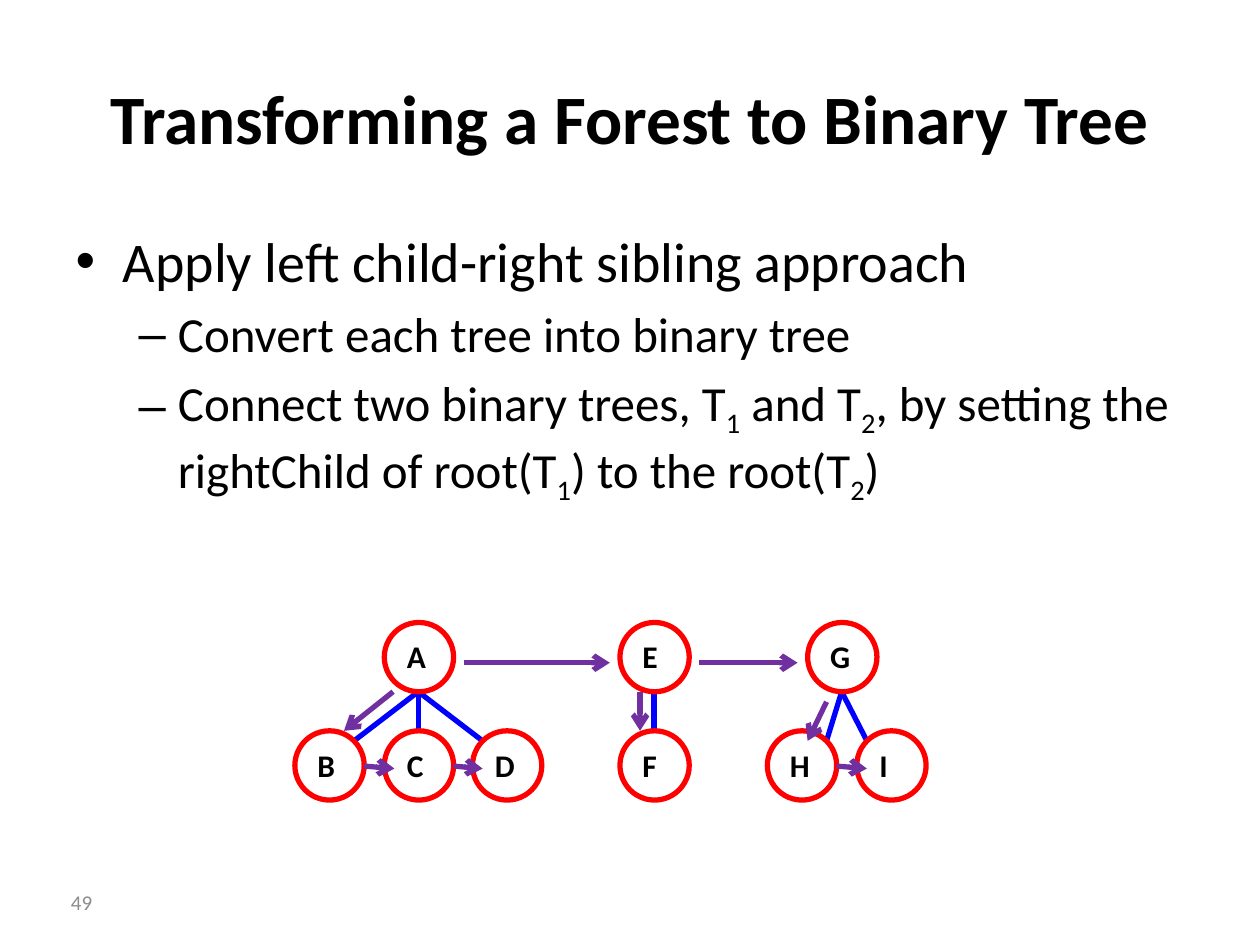
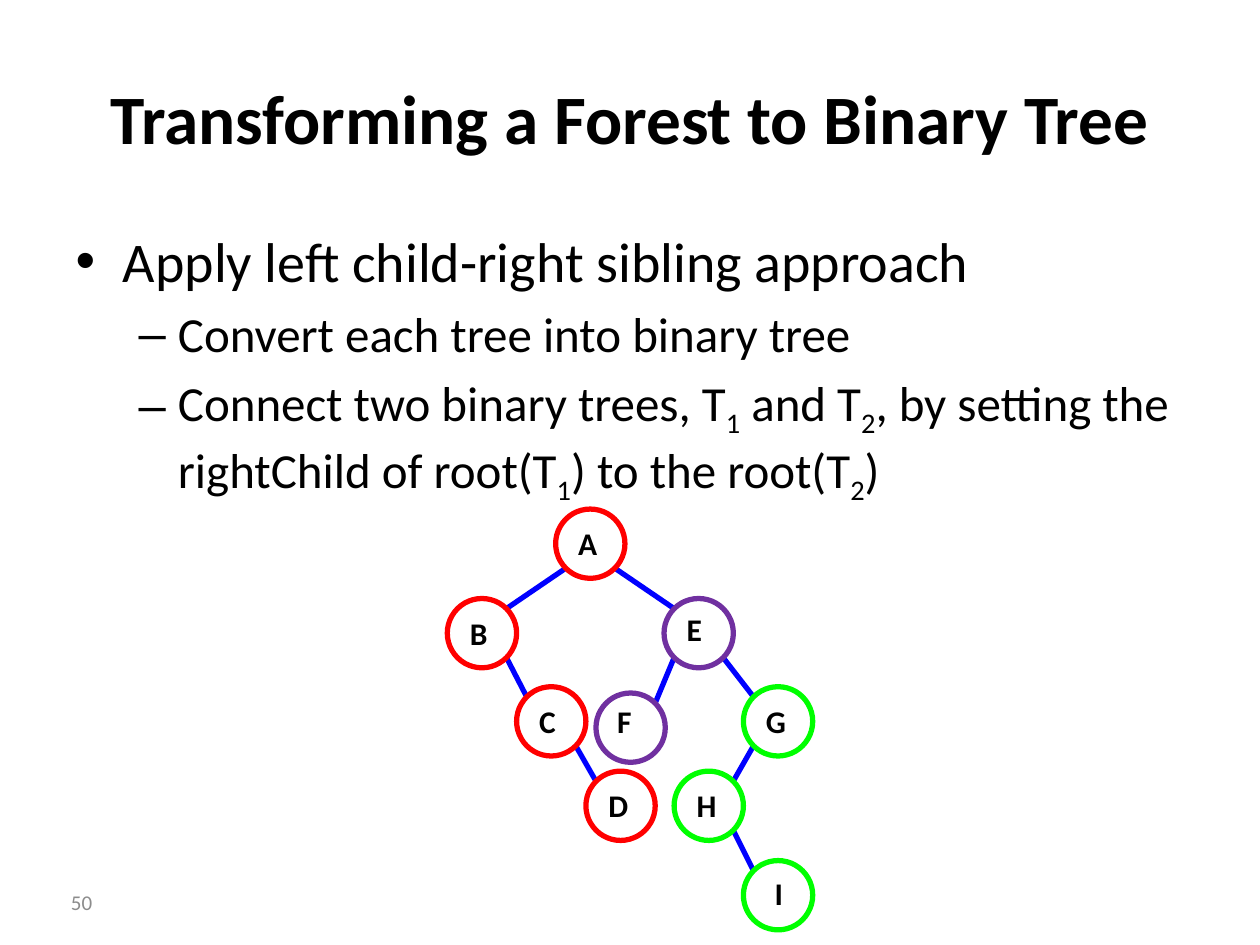
import dataclasses

import lxml.etree
import pptx
import pptx.dml.color
import pptx.enum.shapes
import pptx.enum.text
import pptx.oxml.ns
import pptx.util

EMU_PER_PX = 9144
ALIGN = pptx.enum.text.PP_ALIGN
ANCHOR = pptx.enum.text.MSO_ANCHOR


@dataclasses.dataclass(frozen=True)
class Theme:
    font: str = "Calibri"
    ink: str = "000000"
    muted: str = "8C8C8C"
    red: str = "FF0000"
    purple: str = "7030A0"
    green: str = "00FF00"
    blue: str = "0000FF"
    title_size: float = 39.6
    body_sizes: tuple = (32, 28)
    label_size: int = 18
    number_size: int = 12
    line_width: int = 3
    node_size: int = 55


THEME = Theme()
TITLE = "Transforming a Forest to Binary Tree"
BULLETS = [
    (0, "Apply left child-right sibling approach"),
    (1, "Convert each tree into binary tree"),
    (1, "Connect two binary trees, T|1| and T|2|, by setting the "
        "rightChild of root(T|1|) to the root(T|2|)"),
]
SPOTS = {
    "top": (27, 0), "bottom": (27, 55), "left": (0, 28), "right": (55, 28),
    "top left": (8, 8), "top right": (47, 8),
    "bottom left": (8, 47), "bottom right": (47, 47),
}


def px(*lengths):
    return [pptx.util.Emu(length * EMU_PER_PX) for length in lengths]


def rgb(color):
    return pptx.dml.color.RGBColor.from_string(color)


def write(para, text, size, color=THEME.ink, bold=False, align=None):
    para.alignment = align
    for index, piece in enumerate(text.split("|")):
        span = para.add_run()
        span.text = piece
        span.font.name = THEME.font
        span.font.size = pptx.util.Pt(size)
        span.font.bold = bold
        span.font.color.rgb = rgb(color)
        if index % 2:
            span._r.get_or_add_rPr().set("baseline", "-25000")


def spot(corner, name):
    return corner[0] + SPOTS[name][0], corner[1] + SPOTS[name][1]


class TreeDeck:
    def __init__(self, theme):
        self.theme = theme
        self.deck = pptx.Presentation()
        self.deck.slide_width, self.deck.slide_height = px(1000, 750)
        self.page = None

    def start_page(self, number):
        self.page = self.deck.slides.add_slide(self.deck.slide_layouts[1])
        self.title(TITLE)
        self.bullets(BULLETS)
        self.text_box(self.page.shapes, str(number), (30, 696, 53, 40),
                      (10, 5), ANCHOR.MIDDLE, size=self.theme.number_size,
                      color=self.theme.muted, align=ALIGN.RIGHT)

    def place(self, box, bounds):
        box.left, box.top, box.width, box.height = px(*bounds)
        box.text_frame.auto_size = pptx.enum.text.MSO_AUTO_SIZE.NONE
        return box.text_frame

    def title(self, text):
        frame = self.place(self.page.shapes.title, (50, 30, 900, 125))
        frame.vertical_anchor = ANCHOR.MIDDLE
        write(frame.paragraphs[0], text, self.theme.title_size,
              bold=True, align=ALIGN.CENTER)

    def bullets(self, items):
        frame = self.place(self.page.placeholders[1], (50, 175, 900, 495))
        for index, (level, text) in enumerate(items):
            para = frame.add_paragraph() if index else frame.paragraphs[0]
            para.level = level
            write(para, text, self.theme.body_sizes[level])

    def text_box(self, shapes, text, bounds, insets, anchor, **style):
        frame = shapes.add_textbox(*px(*bounds)).text_frame
        frame.word_wrap = True
        frame.vertical_anchor = anchor
        frame.margin_left, frame.margin_top = px(*insets)
        frame.margin_right, frame.margin_bottom = px(*insets)
        write(frame.paragraphs[0], text, **style)

    def node(self, name, corner, color, shift=(8, -3)):
        shapes = self.page.shapes.add_group_shape().shapes
        size = self.theme.node_size
        circle = shapes.add_shape(pptx.enum.shapes.MSO_SHAPE.OVAL,
                                  *px(*corner, size, size))
        circle.shadow.inherit = False
        circle.fill.background()
        circle.line.color.rgb = rgb(color)
        circle.line.width = pptx.util.Pt(self.theme.line_width)
        bounds = (corner[0] + shift[0], corner[1] + shift[1], 39, 66)
        self.text_box(shapes, name, bounds, (10, 15), ANCHOR.TOP,
                      size=self.theme.label_size, bold=True)

    def line(self, start, end, color, arrow=False):
        connector = self.page.shapes.add_connector(
            pptx.enum.shapes.MSO_CONNECTOR.STRAIGHT, *px(*start, *end))
        connector.line.color.rgb = rgb(color)
        connector.line.width = pptx.util.Pt(self.theme.line_width)
        qn = pptx.oxml.ns.qn
        properties = connector._element.spPr
        if arrow:
            lxml.etree.SubElement(properties.find(qn("a:ln")),
                                  qn("a:tailEnd"), type="arrow")
        lxml.etree.SubElement(properties, qn("a:effectLst"))

    def edges(self, corners, links):
        for parent, parent_spot, child, child_spot in links:
            self.line(spot(corners[child], child_spot),
                      spot(corners[parent], parent_spot), self.theme.blue)


def forest_page(tree):
    tree.start_page(49)
    root_y, child_y = 494, 580
    corners = {name: (x, root_y) for name, x in zip("AEG", (305, 492, 641))}
    corners |= {name: (x, child_y) for name, x
                in zip("BCDFHI", (234, 305, 375, 492, 609, 680))}
    tree.edges(corners, [
        ("A", "bottom", "B", "top right"), ("A", "bottom", "C", "top"),
        ("A", "bottom", "D", "top left"), ("E", "bottom", "F", "top"),
        ("G", "bottom", "H", "top right"), ("G", "bottom", "I", "top left"),
    ])
    for name, corner in corners.items():
        tree.node(name, corner, THEME.red)

    arrows = [((312, 549), (273, 580)), ((508, 549), (508, 580)),
              ((656, 557), (641, 588))]
    for first, second in ("AE", "EG"):
        arrows.append(((corners[first][0] + 63, root_y + 32),
                       (corners[second][0] - 8, root_y + 32)))
    for first, second in ("BC", "CD", "HI"):
        x, y = spot(corners[second], "left")
        arrows.append((spot(corners[first], "right"), (x + 8, y + 2)))
    for start, end in arrows:
        tree.line(start, end, THEME.purple, arrow=True)


def binary_tree_page(tree):
    tree.start_page(50)
    colors = {**dict.fromkeys("ABCD", THEME.red),
              **dict.fromkeys("EF", THEME.purple),
              **dict.fromkeys("GHI", THEME.green)}
    corners = {"A": (441, 404), "B": (355, 475), "C": (410, 545),
               "D": (465, 612), "E": (527, 475), "F": (473, 550),
               "G": (590, 545), "H": (535, 612), "I": (590, 683)}
    label_shifts = {"E": (8, -6), "F": (7, -8), "I": (15, -4)}
    left_links = [(parent, "bottom left", child, "top right")
                  for parent, child in ("AB", "EF", "GH")]
    right_links = [(parent, "bottom right", child, "top left")
                   for parent, child in ("AE", "BC", "CD", "EG", "HI")]
    tree.edges(corners, left_links + right_links)
    for name, corner in corners.items():
        tree.node(name, corner, colors[name], label_shifts.get(name, (8, -3)))


def main():
    tree = TreeDeck(THEME)
    forest_page(tree)
    binary_tree_page(tree)
    tree.deck.save("out.pptx")


if __name__ == "__main__":
    main()
